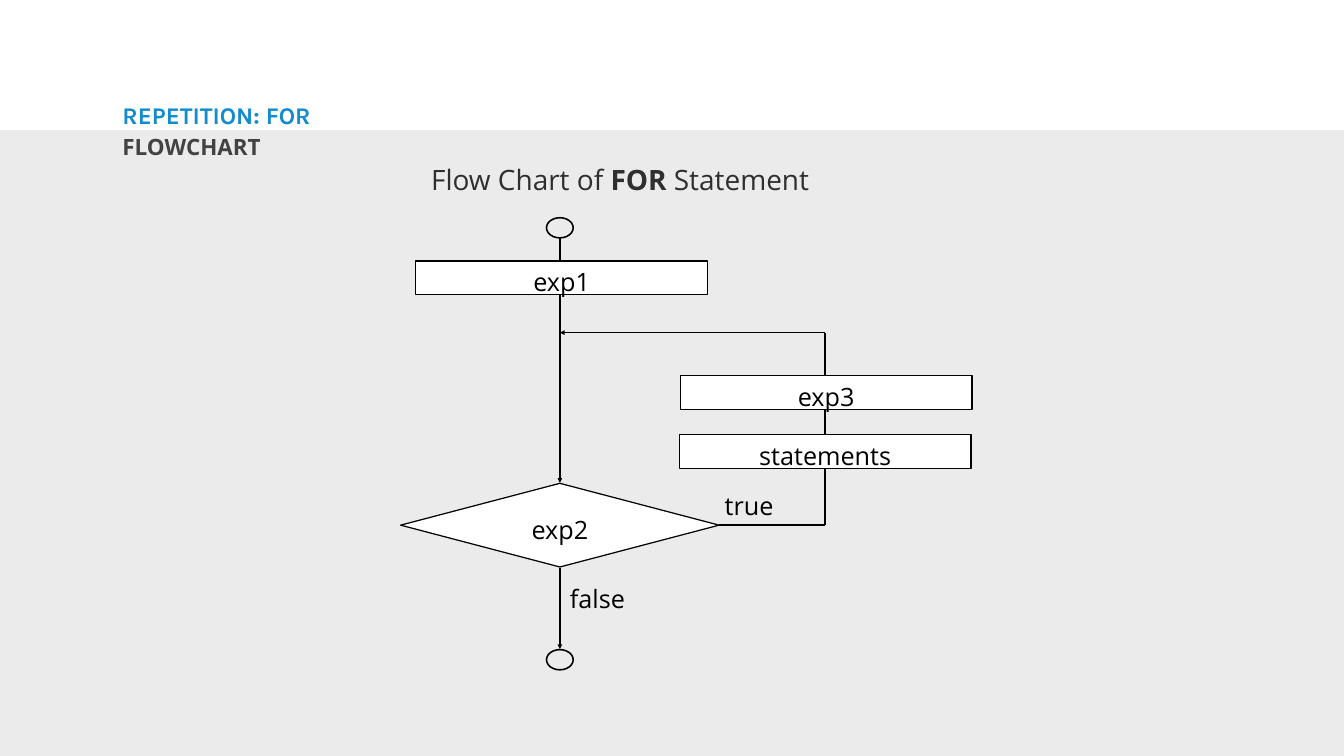
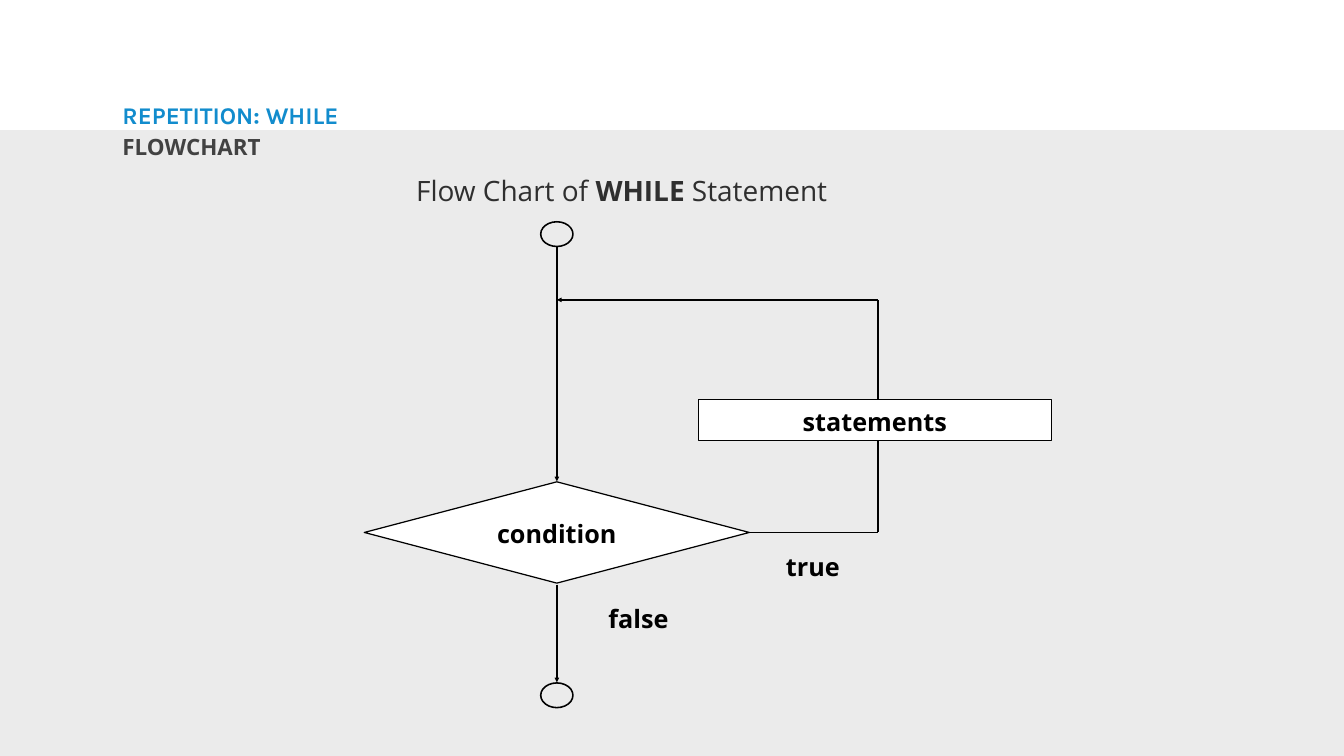
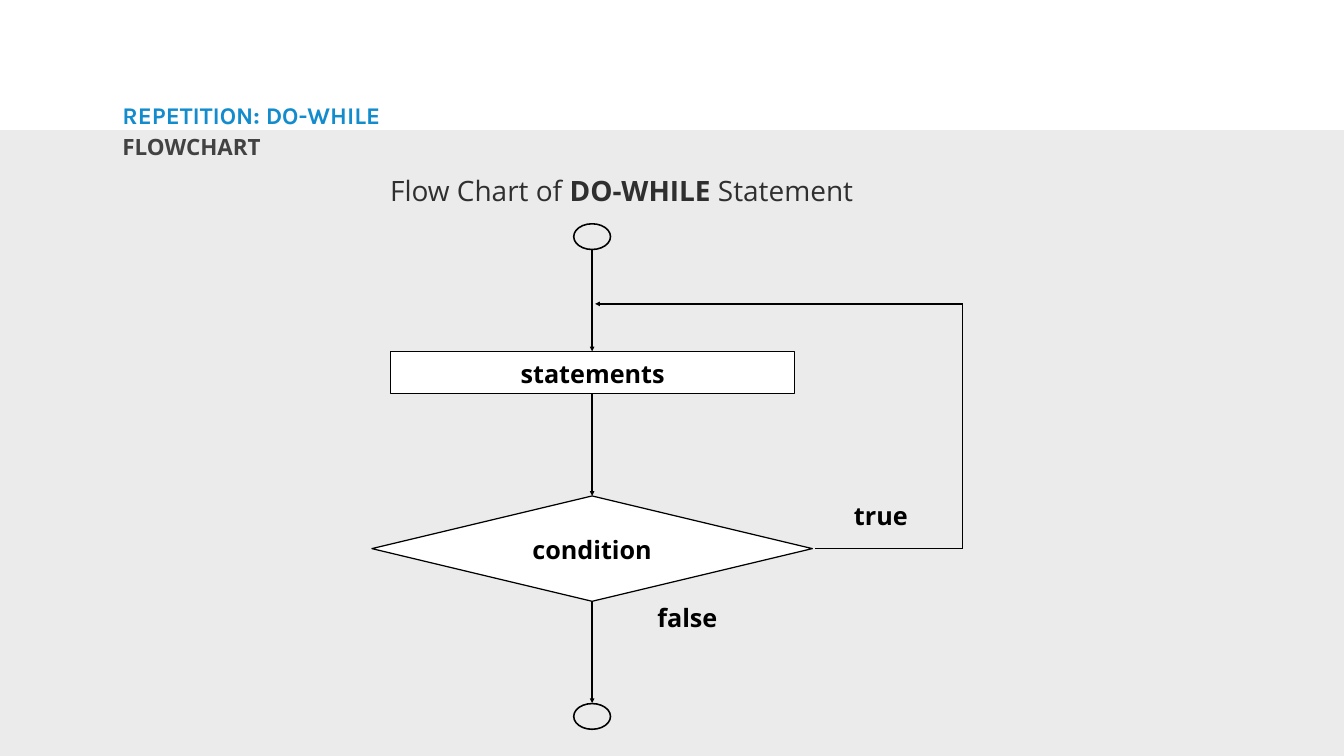
from dataclasses import dataclass

from lxml import etree
from pptx import Presentation
from pptx.dml.color import RGBColor
from pptx.enum.shapes import MSO_CONNECTOR, MSO_SHAPE
from pptx.enum.text import MSO_ANCHOR, PP_ALIGN
from pptx.oxml.ns import qn
from pptx.util import Inches, Pt

RECTANGLE, OVAL, DIAMOND = MSO_SHAPE.RECTANGLE, MSO_SHAPE.OVAL, MSO_SHAPE.DIAMOND
STRAIGHT = MSO_CONNECTOR.STRAIGHT
LEFT, CENTER = PP_ALIGN.LEFT, PP_ALIGN.CENTER
TOP = MSO_ANCHOR.TOP

COLORS = {
    "band": "EBEBEB",
    "title": "128CCD",
    "subtitle": "424242",
    "heading": "2F2F2F",
    "ink": "000000",
    "node": "FFFFFF",
}
TITLE_FONT, BODY_FONT = "Karla", "Open Sans"
SLIDE_WIDTH, SLIDE_HEIGHT, BAND_TOP = 26.67, 15, 2.58
LINE_WIDTH, OUTLINE_WIDTH = 2.25, 1.75


@dataclass
class Flowchart:
    """One loop statement; lengths are relative to the chart's left and top."""

    statement: str
    heading_at: tuple
    left: float
    top: float
    terminal: tuple
    end_top: float
    decision: tuple
    condition: str
    condition_inset: float
    steps: list
    step_size: tuple
    step_inset: float
    arrows: list
    merge_y: float
    loop_x: float
    loop_gap: float
    labels: list
    label_align: int
    bold: bool


CHARTS = [
    Flowchart(
        statement="FOR", heading_at=(5.64, 3.18), left=7.95, top=4.32,
        terminal=(0.53, 0.4), end_top=8.57,
        decision=(5.27, 6.32, 1.66), condition="exp2", condition_inset=0.19,
        steps=[("statements", 5.53, 4.3), ("exp3", 5.55, 3.13), ("exp1", 0.3, 0.86)],
        step_size=(5.79, 0.67), step_inset=0.11,
        arrows=[(0.41, 5.26), (6.95, 8.56)],
        merge_y=2.28, loop_x=8.42, loop_gap=0,
        labels=[("true", 6.43, 5.41, 1.86), ("false", 3.36, 7.26, 2.28)],
        label_align=LEFT, bold=False,
    ),
    Flowchart(
        statement="WHILE", heading_at=(5.67, 3.39), left=7.23, top=4.4,
        terminal=(0.64, 0.49), end_top=9.15,
        decision=(5.16, 7.64, 2.01), condition="condition", condition_inset=0.23,
        steps=[("statements", 6.63, 3.53)],
        step_size=(7, 0.81), step_inset=0.14,
        arrows=[(0.49, 5.15), (7.2, 9.14)],
        merge_y=1.55, loop_x=10.19, loop_gap=0,
        labels=[("true", 7.77, 6.54, 2.26), ("false", 4.06, 7.57, 2.76)],
        label_align=CENTER, bold=True,
    ),
    Flowchart(
        statement="DO-WHILE", heading_at=(5.67, 3.39), left=7.38, top=4.44,
        terminal=(0.73, 0.51), end_top=9.52,
        decision=(5.4, 8.74, 2.09), condition="condition", condition_inset=0.24,
        steps=[("statements", 0.37, 2.53)],
        step_size=(8.02, 0.84), step_inset=0.14,
        arrows=[(0.5, 2.53), (3.37, 5.4), (7.49, 9.51)],
        merge_y=1.59, loop_x=11.72, loop_gap=0.06,
        labels=[("true", 8.81, 5.48, 2.58), ("false", 4.68, 7.52, 3.16)],
        label_align=CENTER, bold=True,
    ),
]


def color(key):
    """Return the named palette colour."""
    return RGBColor.from_string(COLORS[key])


def write(shape, runs, size, ink, font=BODY_FONT, align=LEFT,
          insets=(0, 0, 0, 0), spacing=None):
    """Fill a shape's text frame with one paragraph of (text, bold) runs."""
    frame = shape.text_frame
    frame.word_wrap = True
    frame.vertical_anchor = TOP
    (frame.margin_left, frame.margin_top,
     frame.margin_right, frame.margin_bottom) = map(Inches, insets)
    paragraph = frame.paragraphs[0]
    paragraph.alignment = align
    if spacing:
        paragraph.line_spacing = spacing
    for text, bold in runs:
        run = paragraph.add_run()
        run.text = text
        run.font.name = font
        run.font.size = Pt(size)
        run.font.bold = bold
        run.font.color.rgb = color(ink)


def add_text(slide, box, runs, size, ink, **style):
    """Add a text box at the given left, top, width and height."""
    write(slide.shapes.add_textbox(*map(Inches, box)), runs, size, ink, **style)


def add_node(slide, kind, box, fill=None, outline=None):
    """Add a preset shape with an optional fill and outline width."""
    node = slide.shapes.add_shape(kind, *map(Inches, box))
    node.shadow.inherit = False
    if fill:
        node.fill.solid()
        node.fill.fore_color.rgb = color(fill)
    else:
        node.fill.background()
    if outline:
        node.line.color.rgb = color("ink")
        node.line.width = Pt(outline)
    else:
        node.line.fill.background()
    return node


def add_flow(slide, start, end, arrow=False):
    """Draw a straight flow line, with an arrowhead at its end if asked."""
    flow = slide.shapes.add_connector(STRAIGHT, *map(Inches, (*start, *end)))
    flow.line.color.rgb = color("ink")
    flow.line.width = Pt(LINE_WIDTH)
    if arrow:
        etree.SubElement(flow.line._get_or_add_ln(), qn("a:tailEnd"), type="triangle")
    etree.SubElement(flow._element.spPr, qn("a:effectLst"))


def add_frame(slide, chart):
    """Draw the grey band, the two title lines and the chart heading."""
    add_node(slide, RECTANGLE,
             (0, BAND_TOP, SLIDE_WIDTH, SLIDE_HEIGHT - BAND_TOP), "band")
    insets = (0.06,) * 4
    add_text(slide, (2.37, 2.05, 16.09, 0.56),
             [(f"REPETITION: {chart.statement}", True)], 34.2, "title",
             font=TITLE_FONT, insets=insets, spacing=0.8)
    add_text(slide, (2.37, 2.65, 10.68, 0.88), [("FLOWCHART", True)],
             32, "subtitle", insets=insets, spacing=0.9)
    add_text(slide, (*chart.heading_at, 13.33, 0.77),
             [("Flow Chart of ", False), (chart.statement, True), (" Statement", False)],
             40, "heading", align=CENTER, insets=(0.1, 0.05, 0.1, 0.05))


def add_flowchart(slide, chart):
    """Draw the flow lines, then the nodes and labels, from the chart's corner."""
    def at(x, y):
        return chart.left + x, chart.top + y

    decision_top, decision_width, decision_height = chart.decision
    axis = decision_width / 2
    decision_y = decision_top + decision_height / 2

    for begin_y, end_y in chart.arrows:
        add_flow(slide, at(axis, begin_y), at(axis, end_y), arrow=True)
    corner, turn = at(chart.loop_x, decision_y), at(chart.loop_x, chart.merge_y)
    add_flow(slide, at(decision_width + chart.loop_gap, decision_y), corner)
    add_flow(slide, corner, turn)
    add_flow(slide, turn, at(axis + chart.loop_gap, chart.merge_y), arrow=True)

    for terminal_top in (0, chart.end_top):
        corner = at(axis - chart.terminal[0] / 2, terminal_top)
        add_node(slide, OVAL, (*corner, *chart.terminal), outline=LINE_WIDTH)

    nodes = [(RECTANGLE, text, at(x, y), chart.step_size, chart.step_inset)
             for text, x, y in chart.steps]
    nodes.append((DIAMOND, chart.condition, at(0, decision_top),
                  (decision_width, decision_height), chart.condition_inset))
    for kind, text, corner, size, inset in nodes:
        node = add_node(slide, kind, (*corner, *size), "node", OUTLINE_WIDTH)
        write(node, [(text, chart.bold)], 36, "ink", align=CENTER,
              insets=(0, inset, 0, 0))

    for text, x, y, width in chart.labels:
        add_text(slide, (*at(x, y), width, 0.8), [(text, chart.bold)], 36, "ink",
                 align=chart.label_align)


def main():
    """Build one slide for each loop statement."""
    deck = Presentation()
    deck.slide_width, deck.slide_height = Inches(SLIDE_WIDTH), Inches(SLIDE_HEIGHT)
    blank = deck.slide_layouts[6]
    for chart in CHARTS:
        slide = deck.slides.add_slide(blank)
        add_frame(slide, chart)
        add_flowchart(slide, chart)
    deck.save("out.pptx")


if __name__ == "__main__":
    main()
